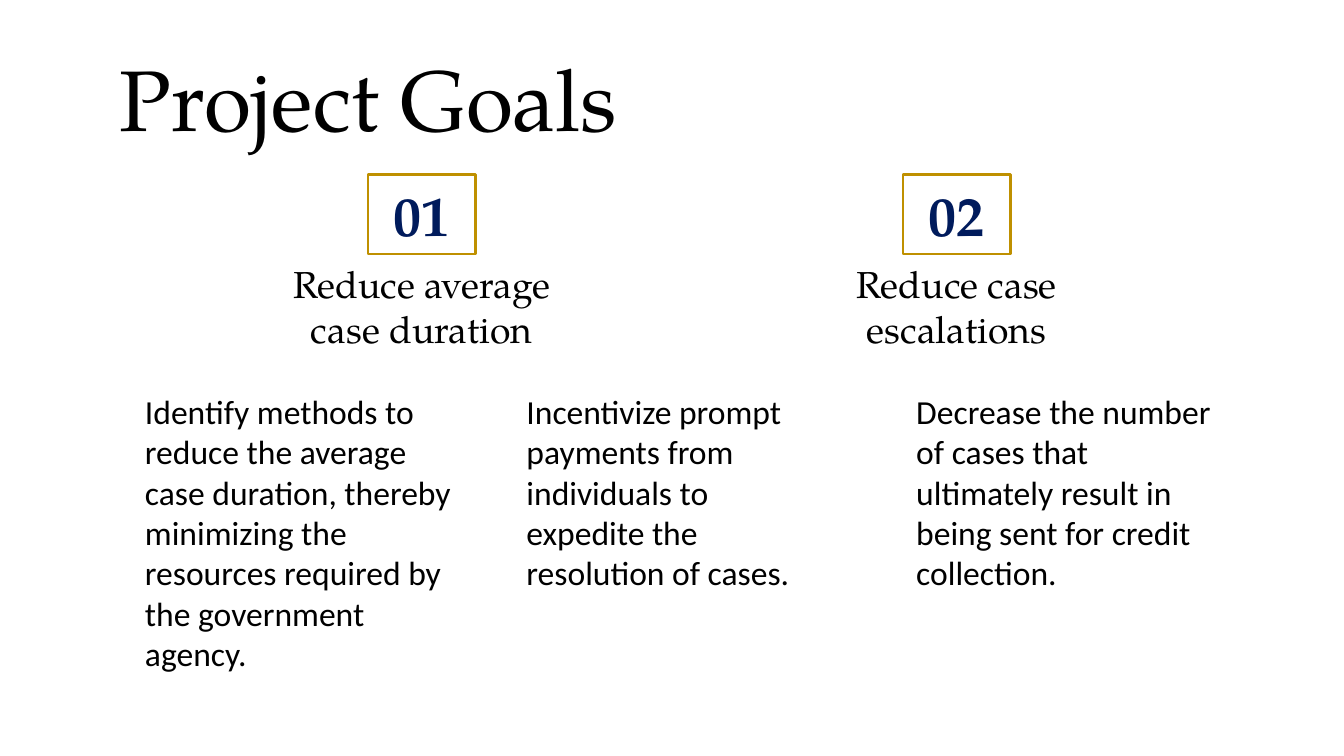
import pptx
import pptx.dml.color
import pptx.enum.shapes
import pptx.enum.text
import pptx.util

Pt = pptx.util.Pt
Align = pptx.enum.text.PP_ALIGN
Anchor = pptx.enum.text.MSO_ANCHOR


def color(hex_code):
    return pptx.dml.color.RGBColor.from_string(hex_code)


class GoalsSlide:
    SERIF = "TeX Gyre Pagella"
    SANS = "Calibri"
    INK = "000000"
    NAVY = "001B5C"
    GOLD = "BF9000"
    INSET = 7.2

    def __init__(self, slide):
        self.slide = slide

    def set_words(self, shape, words, font, size, ink=INK, bold=False,
                  align=Align.LEFT, anchor=Anchor.TOP):
        frame = shape.text_frame
        frame.text = words
        frame.word_wrap = True
        frame.vertical_anchor = anchor
        frame.margin_left = frame.margin_right = Pt(self.INSET)
        frame.margin_top = frame.margin_bottom = Pt(self.INSET)
        paragraph = frame.paragraphs[0]
        paragraph.alignment = align
        for run in paragraph.runs:
            run.font.name = font
            run.font.size = Pt(size)
            run.font.bold = bold
            run.font.color.rgb = color(ink)

    def text(self, left, top, width, height, words, font, size, **style):
        box = self.slide.shapes.add_textbox(Pt(left), Pt(top), Pt(width), Pt(height))
        self.set_words(box, words, font, size, **style)

    def number(self, center, top, words):
        width, height = 57.6, 42.5
        frame = self.slide.shapes.add_shape(
            pptx.enum.shapes.MSO_SHAPE.RECTANGLE,
            Pt(center - width / 2), Pt(top), Pt(width), Pt(height))
        frame.shadow.inherit = False
        frame.fill.background()
        frame.line.color.rgb = color(self.GOLD)
        frame.line.width = Pt(1.5)
        self.set_words(frame, words, self.SERIF, 30, ink=self.NAVY, bold=True,
                       align=Align.CENTER, anchor=Anchor.MIDDLE)

    def heading(self, center, top, words):
        width = 175.7
        self.text(center - width / 2, top, width, 36.7, words, self.SERIF, 20,
                  align=Align.CENTER, anchor=Anchor.BOTTOM)

    def description(self, left, width, height, words):
        self.text(left, 202.3, width, height, words, self.SANS, 18)


def main():
    deck = pptx.Presentation()
    deck.slide_width, deck.slide_height = Pt(720), Pt(405)
    goals = GoalsSlide(deck.slides.add_slide(deck.slide_layouts[6]))

    # Title
    goals.text(56.9, 17.3, 607, 45.4, "Project Goals", goals.SERIF, 46)

    # Numbered goals
    for index, goal in enumerate(["Reduce average case duration",
                                  "Reduce case escalations"]):
        center = 226 + index * 286.6
        goals.number(center, 93.6, f"{index + 1:02}")
        goals.heading(center, 158.4, goal)

    # Ways to reach the goals
    for left, width, height, method in [
        (70.6, 184.3, 121, "Identify methods to reduce the average case duration, "
         "thereby minimizing the resources required by the government agency."),
        (275, 170.6, 100, "Incentivize prompt payments from individuals "
         "to expedite the resolution of cases."),
        (483.8, 175.7, 100, "Decrease the number of cases that ultimately "
         "result in being sent for credit collection."),
    ]:
        goals.description(left, width, height, method)

    deck.save("out.pptx")


if __name__ == "__main__":
    main()
